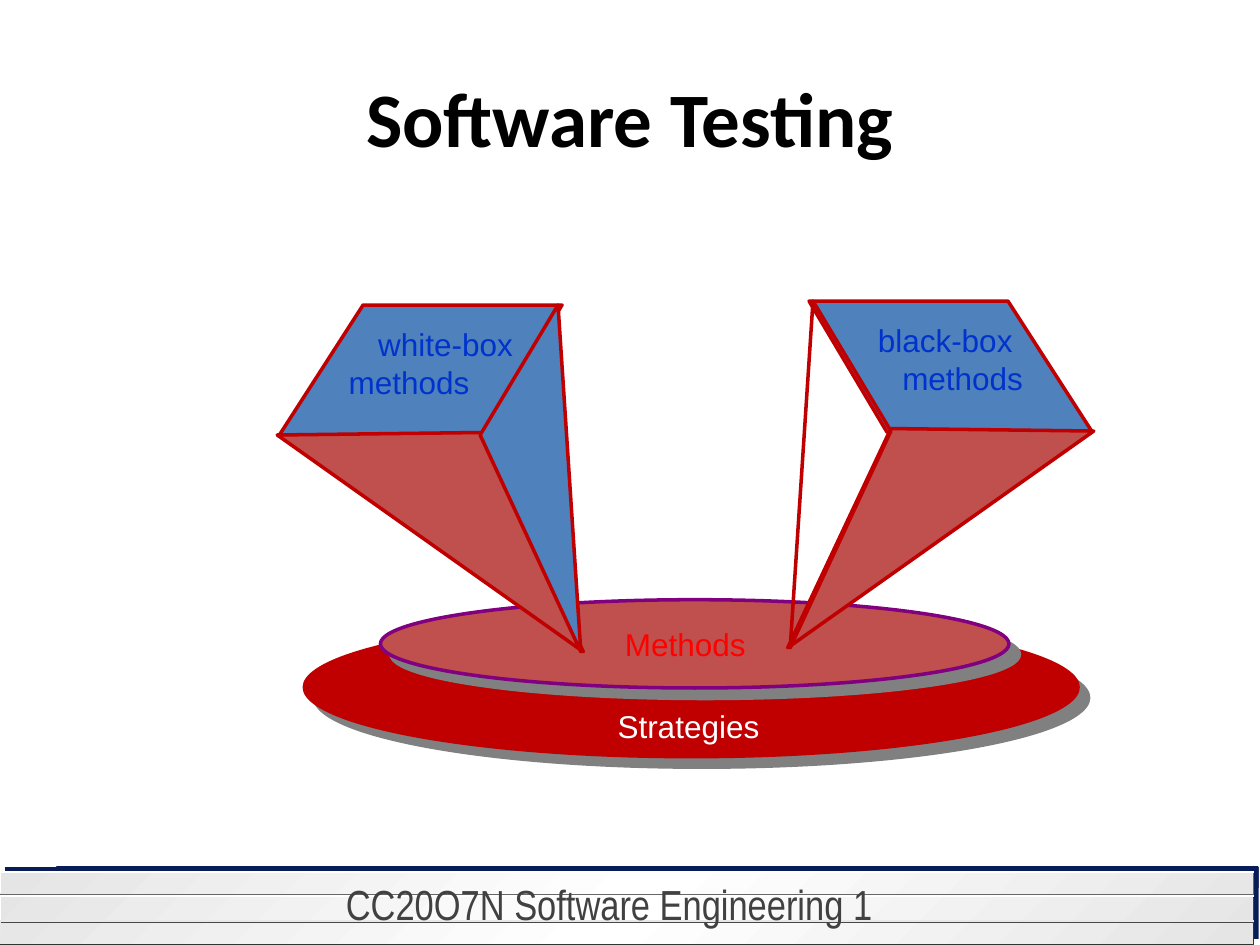
from pptx import Presentation
from pptx.dml.color import RGBColor
from pptx.enum.shapes import MSO_SHAPE
from pptx.enum.text import MSO_ANCHOR, MSO_AUTO_SIZE, PP_ALIGN
from pptx.oxml import parse_xml
from pptx.oxml.ns import nsdecls
from pptx.util import Cm, Pt


def color(value):
    """Turn a hex string into a colour."""
    return RGBColor.from_string(value)


def style(shape, fill=None, line=None, width=2):
    """Set the fill and the line of a shape and remove its shadow."""
    shape.shadow.inherit = False
    if fill:
        shape.fill.solid()
        shape.fill.fore_color.rgb = color(fill)
    else:
        shape.fill.background()
    if line:
        shape.line.color.rgb = color(line)
        shape.line.width = Pt(width)
    else:
        shape.line.fill.background()


def add_shadow(shape, value, distance, angle):
    """Give a shape a hard offset shadow."""
    effects = shape._element.spPr.find(
        "{http://schemas.openxmlformats.org/drawingml/2006/main}effectLst")
    effects.append(parse_xml(
        f'<a:outerShdw {nsdecls("a")} dist="{Pt(distance)}" dir="{angle * 60000}" '
        f'algn="ctr" rotWithShape="0"><a:srgbClr val="{value}"/></a:outerShdw>'))


def add_outline(slide, points, fill=None, line=None, width=2):
    """Draw a freeform through points given in centimetres."""
    start, *others = [(Cm(x), Cm(y)) for x, y in points]
    builder = slide.shapes.build_freeform(*start)
    builder.add_line_segments(others, close=False)
    shape = builder.convert_to_shape()
    style(shape, fill, line, width)
    return shape


def add_text(slide, box, lines, size, font, value, alignments=(PP_ALIGN.LEFT,), wrap=True):
    """Add a text box with one alignment for each line."""
    text_box = slide.shapes.add_textbox(*map(Cm, box))
    frame = text_box.text_frame
    frame.word_wrap = wrap
    if not wrap:
        frame.auto_size = MSO_AUTO_SIZE.SHAPE_TO_FIT_TEXT
    frame.text = "\n".join(lines)
    for paragraph, alignment in zip(frame.paragraphs, alignments):
        paragraph.alignment = alignment
        for run in paragraph.runs:
            run.font.size = Pt(size)
            run.font.name = font
            run.font.color.rgb = color(value)
    return frame


def add_footer(slide, left, top, width, height):
    """Draw the ruled gradient bar with the course name."""
    edge, base = left + width - 0.1, top + height
    add_outline(slide, [(edge, base - 0.69), (edge, base), (left, base)], line="333333", width=1)
    bar = slide.shapes.add_shape(MSO_SHAPE.RECTANGLE, *map(Cm, (left, top, width, height)))
    style(bar)
    bar.fill.gradient()
    stops = bar._element.spPr.gradFill.gsLst
    for stop in list(stops):
        stops.remove(stop)
    for position, value in ((0, "E5E5E5"), (50, "FFFFFF"), (100, "E5E5E5")):
        stops.append(parse_xml(
            f'<a:gs {nsdecls("a")} pos="{position * 1000}"><a:srgbClr val="{value}"/></a:gs>'))
    bar.fill.gradient_angle = 315
    add_shadow(bar, "081D58", 4.2, 315)

    right = left + width
    bands = ((0, 0.43, "FFFFFF", "676767"),
             (0.48, 0.48, "FFFFFF", "474747"),
             (0.99, 0.43, "E8E8E8", "333333"))
    for offset, band, light, dark in bands:
        upper = top + offset
        lower = upper + band
        add_outline(slide, [(left, lower), (left, upper), (right, upper)], line=light, width=1)
        add_outline(slide, [(right, upper + 0.04), (right, lower + 0.04), (left, lower + 0.04)],
                    line=dark, width=1)
    frame = add_text(slide, (left + 1.27, top, 22.02, 1.27), ["CC20O7N Software Engineering 1"],
                     24, "Arial Narrow", "414141", [PP_ALIGN.CENTER])
    frame.paragraphs[0].space_before = Pt(15)


def add_base(slide, left, top):
    """Stack the methods disc on the strategies disc."""
    discs = (((left, top + 0.33, 15.67, 2.87), "C00000", None),
             ((left + 1.57, top, 12.67, 1.78), "C0504D", "800080"))
    for box, fill, line in discs:
        disc = slide.shapes.add_shape(MSO_SHAPE.OVAL, *map(Cm, box))
        style(disc, fill, line)
        add_shadow(disc, "808080", 8.5, 45)


def add_base_labels(slide, left, top):
    """Label the two discs."""
    add_text(slide, (left + 6.25, top + 0.38, 2.95, 1.02), ["Methods"],
             18, "Arial", "FF0000", wrap=False)
    add_text(slide, (left + 6.1, top + 2.03, 3.4, 1.02), ["Strategies"],
             18, "Arial", "FFFFFF", wrap=False)


def add_pyramid(slide, left, top, width, side_fill=None, mirrored=False):
    """Draw a pyramid standing on its tip, mirrored if asked."""
    faces = (([(5.74, 0), (1.73, 0), (0.03, 2.64), (4.17, 2.64)], "4F81BD"),
             ([(0, 2.62), (6.17, 6.99), (4.09, 2.57)], "C0504D"),
             ([(6.12, 6.99), (4.09, 2.62), (5.66, 0)], side_fill))
    for corners, fill in faces:
        points = [(left + (width - x if mirrored else x), top + y)
                  for x, y in corners + corners[:1]]
        face = add_outline(slide, points, fill, "C00000")
        face.line._get_or_add_ln().append(
            parse_xml(f'<a:tailEnd {nsdecls("a")} type="triangle"/>'))


def add_title(slide, left, top, width, height):
    """Write the slide title."""
    frame = add_text(slide, (left, top, width, height), ["Software Testing"],
                     44, "Calibri", "000000", [PP_ALIGN.CENTER])
    frame.vertical_anchor = MSO_ANCHOR.MIDDLE
    frame.paragraphs[0].runs[0].font.bold = True


def main():
    """Build and save the slide."""
    presentation = Presentation()
    presentation.slide_width, presentation.slide_height = Cm(25.4), Cm(19.05)
    slide = presentation.slides.add_slide(presentation.slide_layouts[6])
    add_footer(slide, 0, 17.58, 25.27, 1.45)
    add_base(slide, 6.1, 12.09)
    add_pyramid(slide, 5.59, 6.15, 6.17, side_fill="4F81BD")
    add_pyramid(slide, 15.88, 6.07, 6.17, mirrored=True)
    add_base_labels(slide, 6.1, 12.09)
    add_text(slide, (6.78, 6.43, 3.81, 2.54), ["white-box", "methods"],
             18, "Arial", "0033CC", [PP_ALIGN.RIGHT, PP_ALIGN.LEFT])
    black_box = add_text(slide, (17.15, 6.35, 3.81, 1.78), ["black-box", "methods"],
                         18, "Arial", "0033CC", [PP_ALIGN.CENTER] * 2)
    black_box.paragraphs[1]._p.get_or_add_pPr().set("marL", str(Pt(20)))
    add_title(slide, 1.27, 0.76, 22.86, 3.18)
    presentation.save("out.pptx")


if __name__ == "__main__":
    main()
